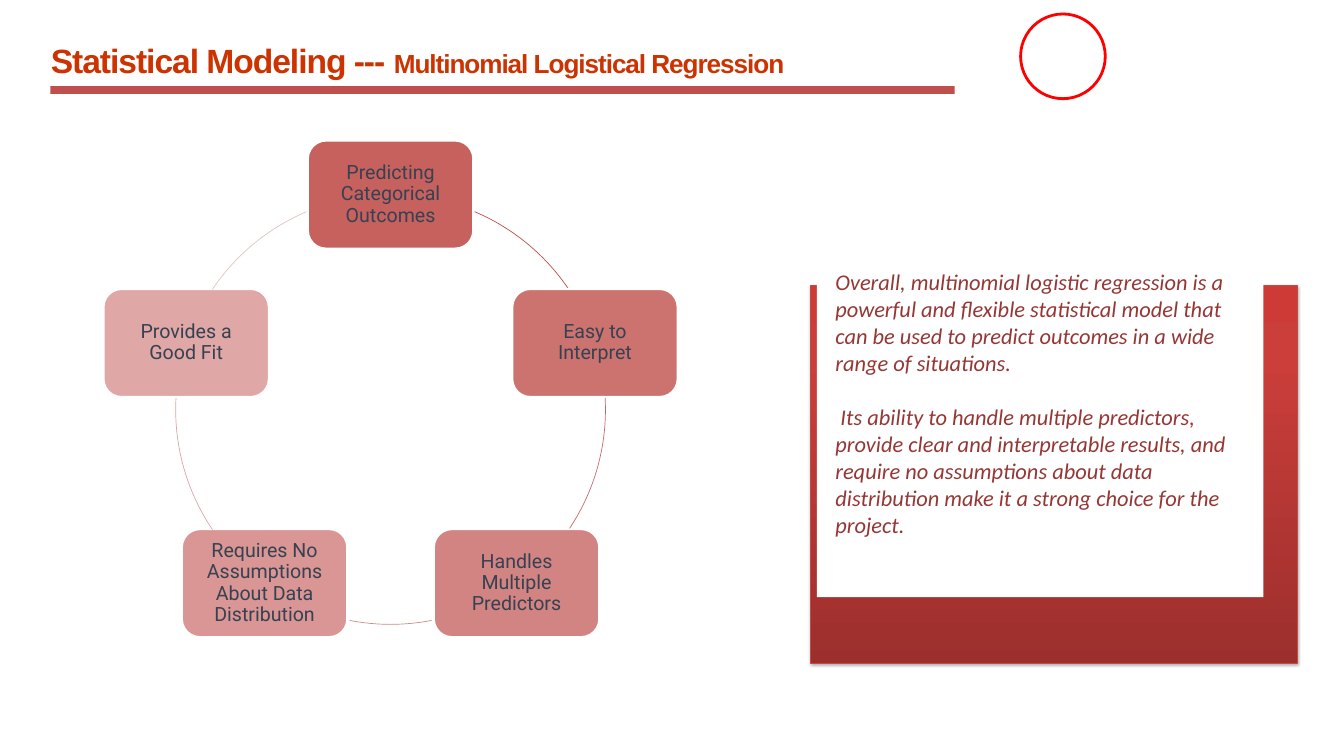
from copy import deepcopy
from math import cos, radians, sin

from lxml import etree
from pptx import Presentation
from pptx.dml.color import RGBColor
from pptx.enum.shapes import MSO_SHAPE
from pptx.enum.text import MSO_ANCHOR, MSO_AUTO_SIZE, PP_ALIGN
from pptx.oxml.ns import qn
from pptx.util import Pt

RECT, ROUND = MSO_SHAPE.RECTANGLE, MSO_SHAPE.ROUNDED_RECTANGLE
ARC, OVAL = MSO_SHAPE.ARC, MSO_SHAPE.OVAL
TOP, MIDDLE = MSO_ANCHOR.TOP, MSO_ANCHOR.MIDDLE
LEFT, CENTER = PP_ALIGN.LEFT, PP_ALIGN.CENTER
FIXED = MSO_AUTO_SIZE.NONE
PX = 9525
HEX = {
    "title": "CC3300", "bar": "BF4F4D", "node": "C0504D", "label": "374151",
    "quote": "953734", "edge": "BF4C48", "white": "FFFFFF", "logo": "FF0000",
    "shade": "000000",
}


def rgb(name):
    return RGBColor.from_string(HEX.get(name, name))


def draw(kind, x, y, w, h, fill=None, line=None, width=1):
    shape = slide.shapes.add_shape(kind, x * PX, y * PX, w * PX, h * PX)
    shape.shadow.inherit = False
    if fill:
        shape.fill.solid()
        shape.fill.fore_color.rgb = rgb(fill)
    else:
        shape.fill.background()
    if line:
        shape.line.color.rgb = rgb(line)
        shape.line.width = Pt(width)
    else:
        shape.line.fill.background()
    return shape


prs = Presentation()
prs.slide_width, prs.slide_height = 1920 * PX, 1080 * PX
slide = prs.slides.add_slide(prs.slide_layouts[5])

title = slide.shapes.title
title.left, title.top, title.width, title.height = 63 * PX, 52 * PX, 1356 * PX, 126 * PX
frame = title.text_frame
frame.auto_size = FIXED
frame.vertical_anchor = TOP
para = frame.paragraphs[0]
para.alignment = LEFT
para.font.name = "Arial"
para.font.bold = True
para.font.color.rgb = rgb("title")
for text, size in (("Statistical Modeling --- ", 36), ("Multinomial Logistical Regression", 28)):
    run = para.add_run()
    run.text = text
    run.font.size = Pt(size)
    run.font._element.set("spc", "-110")

draw(OVAL, 1458, 20, 121, 121, line="logo", width=3)

panel = draw(RECT, 1158, 407, 695, 540, line="edge", width=0.75)
panel.fill.gradient()
panel.fill.gradient_angle = 90
stops = panel._element.xpath(".//a:gsLst")[0]
stops.append(deepcopy(stops[-1]))
for stop, (place, tone) in zip(panel.fill.gradient_stops, ((0, "9C2F2D"), (0.8, "CB3E3A"), (1, "CE3B37"))):
    stop.position = place
    stop.color.rgb = rgb(tone)
effects = panel._element.spPr.find(qn("a:effectLst"))
shadow = etree.SubElement(effects, qn("a:outerShdw"), blurRad="40000", dist="23000", dir="5400000", rotWithShape="0")
shade = etree.SubElement(shadow, qn("a:srgbClr"), val=HEX["shade"])
etree.SubElement(shade, qn("a:alpha"), val="35000")

draw(RECT, 1167, 271, 638, 582, "white")
draw(RECT, 72, 123, 1292, 11, "bar")

QUOTE = (
    "Overall, multinomial logistic regression is a powerful and flexible statistical model that can be used to predict outcomes in a wide range of situations.",
    " Its ability to handle multiple predictors, provide clear and interpretable results, and require no assumptions about data distribution make it a strong choice for the project.",
)
quote = slide.shapes.add_textbox(1184 * PX, 379 * PX, 620 * PX, 397 * PX).text_frame
quote.word_wrap = True
for i, text in enumerate(QUOTE):
    para = quote.add_paragraph() if i else quote.paragraphs[0]
    para.text = text
    para.space_before = Pt(29 * i)
    para.font.name = "Calibri"
    para.font.size = Pt(24)
    para.font.italic = True
    para.font.color.rgb = rgb("quote")

MID_X, MID_Y, RADIUS = 558, 585, 307
WIDE, HIGH = 236, 154
NODES = (
    ("Predicting Categorical Outcomes", "B74C4A", 293, 326),
    ("Easy to Interpret", "C16B69", 357, 34),
    ("Handles Multiple Predictors", "CC8987", 79, 101),
    ("Requires No Assumptions About Data Distribution", "D7A6A5", 146, 183),
    ("Provides a Good Fit", "E3C3C2", 214, 247),
)
for i, (text, tone, start, end) in enumerate(NODES):
    turn = radians(72 * i - 90)
    x = round(MID_X + RADIUS * cos(turn) - WIDE / 2)
    y = round(MID_Y + RADIUS * sin(turn) - HIGH / 2)
    node = draw(ROUND, x, y, WIDE, HIGH, "node", "white", 2)
    color = node._element.spPr.find(qn("a:solidFill"))[0]
    etree.SubElement(color, qn("a:alpha"), val=str(90000 - 10000 * i))
    frame = node.text_frame
    frame.word_wrap = True
    frame.vertical_anchor = MIDDLE
    frame.margin_left = frame.margin_right = frame.margin_top = frame.margin_bottom = 9 * PX
    para = frame.paragraphs[0]
    para.text = text
    para.alignment = CENTER
    para.line_spacing = 0.9
    para.font.name = "Roboto"
    para.font.size = Pt(21)
    para.font.color.rgb = rgb("label")

    arc = draw(ARC, MID_X - RADIUS, MID_Y - RADIUS, 2 * RADIUS, 2 * RADIUS, line=tone, width=0.75)
    arc.adjustments[0] = start * 0.6
    arc.adjustments[1] = end * 0.6

prs.save("out.pptx")
